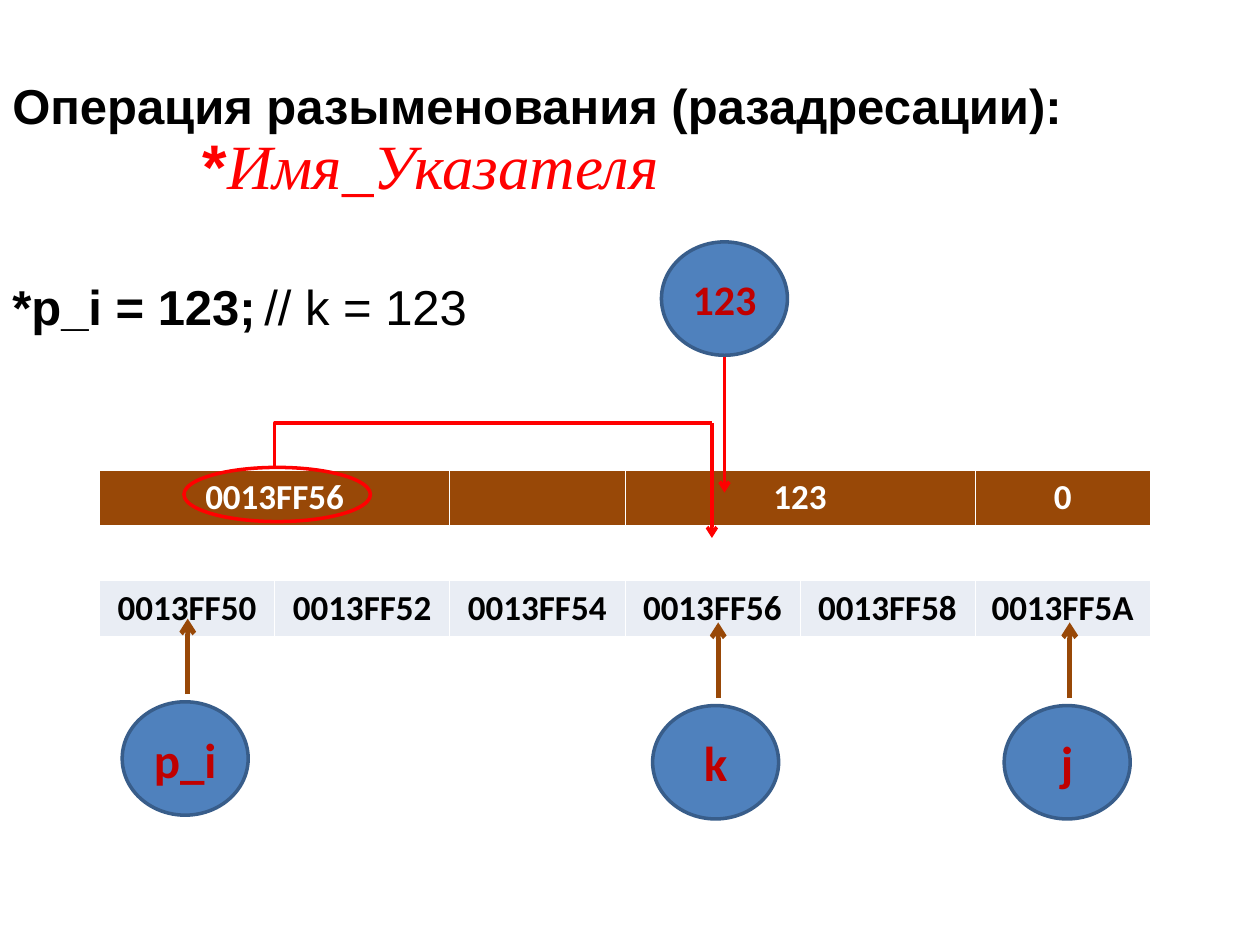
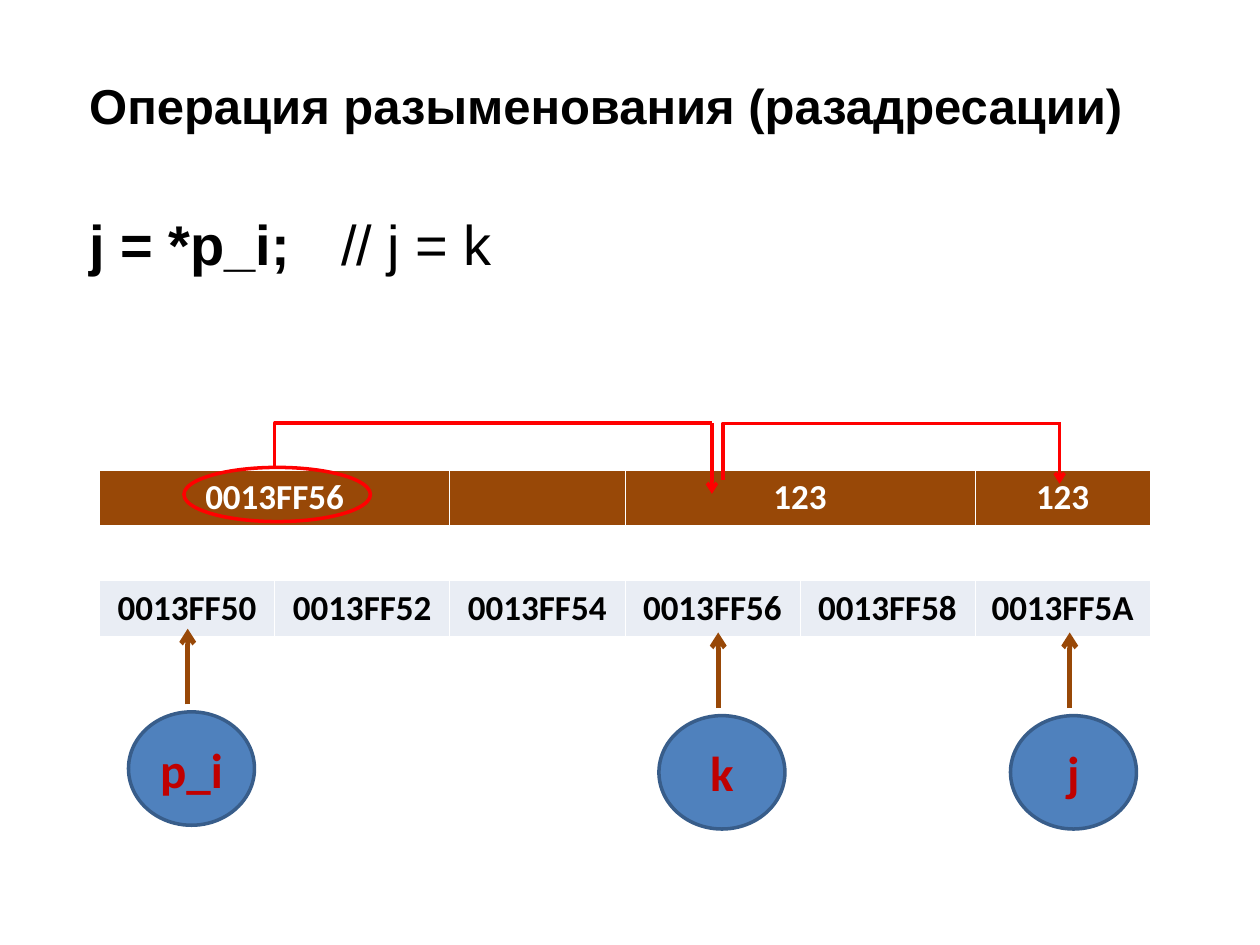
from lxml import etree
from pptx import Presentation
from pptx.dml.color import RGBColor
from pptx.enum import shapes, text
from pptx.oxml import parse_xml
from pptx.oxml.ns import nsdecls, qn
from pptx.util import Inches, Pt

COLORS = {
    "ink": "000000", "white": "FFFFFF", "red": "FF0000", "name": "C00000",
    "brown": "984807", "address": "E9EDF4", "circle": "4F81BD", "outline": "385D8A",
}
TITLE_SIZE = 28
COLUMN, ROW = 1.39, 0.44
TABLE_LEFT, TABLE_TOP = 0.79, 3.73
CIRCLE_WIDTH, CIRCLE_HEIGHT = 1, 0.9
ADDRESSES = [f"0013FF5{digit}" for digit in "02468A"]


def rgb(name):
    return RGBColor.from_string(COLORS[name])


def write(paragraph, content, size=TITLE_SIZE, font="Arial", color="ink", bold=True, italic=False):
    run = paragraph.add_run()
    run.text = content
    run.font.size, run.font.name = Pt(size), font
    run.font.bold, run.font.italic = bold, italic
    run.font.color.rgb = rgb(color)


def indent(paragraph, left=0, tab=None):
    properties = paragraph._p.get_or_add_pPr()
    properties.set("marL", str(Inches(left)))
    properties.set("indent", "0")
    if tab:
        properties.append(parse_xml(
            f'<a:tabLst {nsdecls("a")}><a:tab pos="{Inches(tab)}" algn="l"/></a:tabLst>'))


def add_text(slide, left, width, title, statement, comment, tab, size, gap, pointer=None):
    """Title, optional pointer formula, then a statement with its comment at a tab stop."""
    frame = slide.shapes.add_textbox(
        Inches(left), Inches(0.6), Inches(width), Inches(6.05)).text_frame
    frame.word_wrap = True
    write(frame.paragraphs[0], title)
    if pointer:
        formula = frame.add_paragraph()
        indent(formula, left=1.51)
        write(formula, "*", size=36, color="red")
        write(formula, pointer, size=36, font="Times New Roman", color="red",
              bold=False, italic=True)
    code = frame.add_paragraph()
    indent(code, tab=tab)
    code.space_before = Pt(gap)
    write(code, statement + "\t", size=size)
    write(code, comment, size=size, bold=False)
    for paragraph in frame.paragraphs:
        paragraph.line_spacing = 0.9


def format_cell(cell, fill):
    properties = cell._tc.get_or_add_tcPr()
    for side in "LRTB":
        properties.append(parse_xml(
            f'<a:ln{side} {nsdecls("a")} w="{Pt(0.45)}"><a:solidFill>'
            f'<a:srgbClr val="{COLORS["white"]}"/></a:solidFill></a:ln{side}>'))
    cell.fill.solid()
    cell.fill.fore_color.rgb = rgb(fill)


def add_memory(slide, left, top, values):
    """Values above the addresses of the cells; values maps a column to its content."""
    table = slide.shapes.add_table(
        3, 6, Inches(left), Inches(top), Inches(6 * COLUMN), Inches(3 * ROW)).table
    table.first_row = table.horz_banding = False
    for column in table.columns:
        column.width = Inches(COLUMN)
    rows = [(values, "brown", "white"), ({}, "white", "ink"),
            (dict(enumerate(ADDRESSES)), "address", "ink")]
    for row, (contents, fill, color) in enumerate(rows):
        for column in range(6):
            cell = table.cell(row, column)
            format_cell(cell, fill)
            if column in contents:
                paragraph = cell.text_frame.paragraphs[0]
                paragraph.alignment = text.PP_ALIGN.CENTER
                write(paragraph, contents[column], size=20, font="Calibri", color=color)
    for column in (0, 3):
        table.cell(0, column).merge(table.cell(0, column + 1))


def add_ellipse(slide, left, top, width, height, line, fill=None):
    ellipse = slide.shapes.add_shape(
        shapes.MSO_SHAPE.OVAL, Inches(left), Inches(top), Inches(width), Inches(height))
    ellipse.shadow.inherit = False
    ellipse.line.color.rgb = rgb(line)
    ellipse.line.width = Pt(2)
    if fill:
        ellipse.fill.solid()
        ellipse.fill.fore_color.rgb = rgb(fill)
    else:
        ellipse.fill.background()
    return ellipse


def add_circle(slide, left, top, label, size=28):
    circle = add_ellipse(slide, left, top, CIRCLE_WIDTH, CIRCLE_HEIGHT, "outline", "circle")
    frame = circle.text_frame
    frame.vertical_anchor = text.MSO_ANCHOR.MIDDLE
    frame.paragraphs[0].alignment = text.PP_ALIGN.CENTER
    write(frame.paragraphs[0], label, size=size, font="Calibri", color="name")


def add_line(slide, start, end, color="red", width=2, kind=shapes.MSO_CONNECTOR.STRAIGHT):
    line = slide.shapes.add_connector(kind, *(Inches(value) for value in (*start, *end)))
    line.line.color.rgb = rgb(color)
    line.line.width = Pt(width)
    etree.SubElement(line._element.spPr, qn("a:effectLst"))
    return line


def add_arrow(slide, start, end, **line_format):
    arrow = add_line(slide, start, end, **line_format)
    etree.SubElement(arrow.line._get_or_add_ln(), qn("a:tailEnd"), type="arrow")


def add_bend(slide, start, end):
    """Line that rises at its start and then runs level to its end."""
    bend = add_line(slide, start, end, kind=shapes.MSO_CONNECTOR.ELBOW)
    geometry = bend._element.spPr.find(qn("a:prstGeom"))
    adjustments = geometry.find(qn("a:avLst"))
    if adjustments is None:
        adjustments = etree.SubElement(geometry, qn("a:avLst"))
    etree.SubElement(adjustments, qn("a:gd"), name="adj1", fmla="val 0")


def add_variables(slide, top, shift=0):
    """Named circles, each with an arrow up to its memory cell."""
    for name, arrow_x, drop in (("p_i", 1.49, 0), ("k", 5.7, 0.03), ("j", 8.49, 0.03)):
        circle_top = top + drop
        add_circle(slide, arrow_x - 0.52 + shift, circle_top, name)
        add_arrow(slide, (arrow_x, circle_top - 0.06), (arrow_x, circle_top - 0.66),
                  color="brown", width=2.75)


def add_pointer(slide, left, top, arrow_end):
    """Ring round the stored address and the path from it to the cell it names."""
    add_ellipse(slide, left, top, 1.48, 0.43, "red")
    target, level = left + 4.19, top - 0.35
    add_bend(slide, (left + 0.72, top - 0.01), (target, level))
    add_arrow(slide, (target, level), (target, arrow_end))


def add_diagram(slide, last_value, circles_top, shift, arrow_end):
    add_memory(slide, TABLE_LEFT, TABLE_TOP, {0: ADDRESSES[3], 3: "123", 5: last_value})
    add_variables(slide, circles_top, shift)
    add_pointer(slide, TABLE_LEFT + 0.67, TABLE_TOP - 0.02, arrow_end)


def build_write_slide(slide):
    add_text(slide, 0, 10, "Операция разыменования (разадресации):",
             "*p_i = 123;", "// k = 123", tab=2.69, size=28, gap=46,
             pointer="Имя_Указателя")
    add_diagram(slide, "0", circles_top=5.57, shift=0, arrow_end=4.27)
    add_circle(slide, 5.25, 1.92, "123", size=24)
    add_arrow(slide, (5.75, 2.83), (5.75, 3.91))


def build_read_slide(slide):
    add_text(slide, 0.61, 8.71, "Операция разыменования (разадресации)",
             "j = *p_i;", "// j = k", tab=3.07, size=32, gap=47)
    add_diagram(slide, "123", circles_top=5.65, shift=0.05, arrow_end=3.92)
    add_bend(slide, (5.74, 3.81), (8.42, 3.36))
    add_arrow(slide, (8.41, 3.37), (8.41, 3.84))


def main():
    presentation = Presentation()
    presentation.slide_width, presentation.slide_height = Inches(10), Inches(7.5)
    for build in (build_write_slide, build_read_slide):
        build(presentation.slides.add_slide(presentation.slide_layouts[6]))
    presentation.save("out.pptx")


if __name__ == "__main__":
    main()
